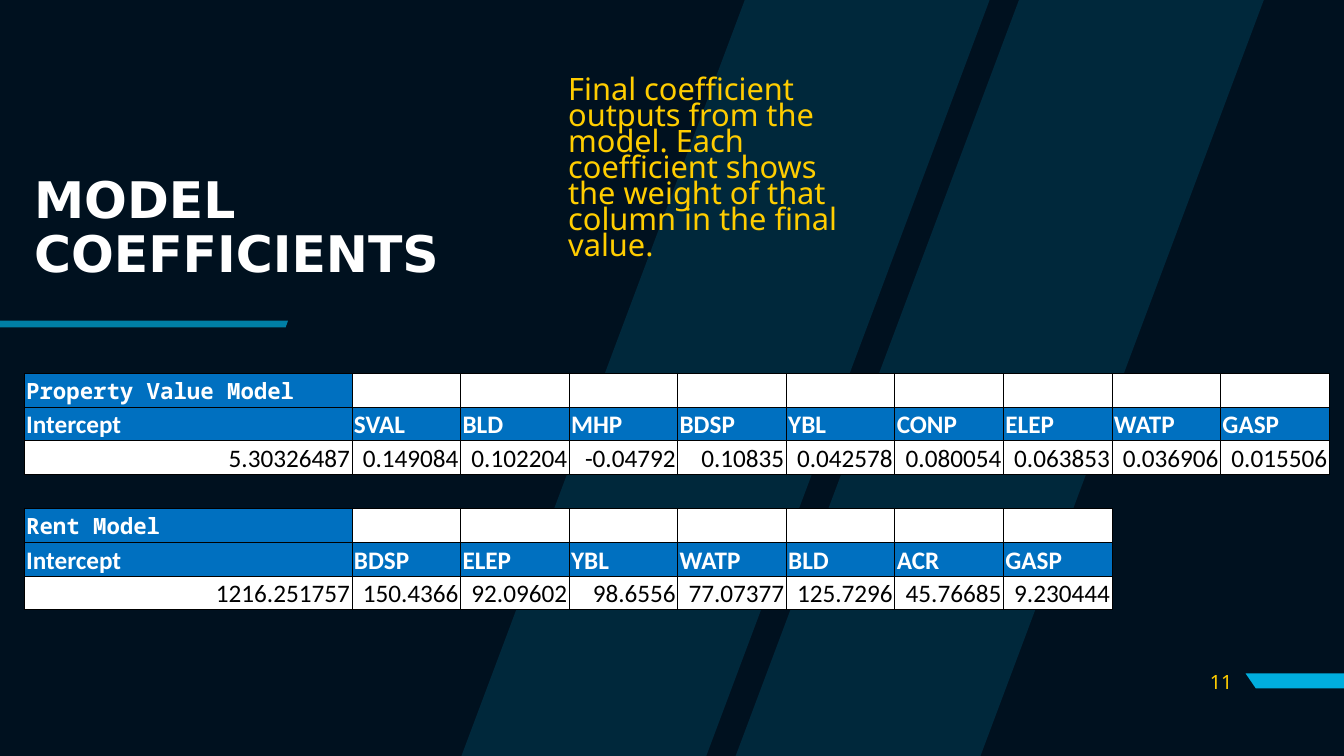
from lxml import etree
from pptx import Presentation
from pptx.dml.color import RGBColor
from pptx.enum.text import MSO_ANCHOR, PP_ALIGN
from pptx.oxml.ns import qn
from pptx.util import Cm, Pt

LEFT, RIGHT = PP_ALIGN.LEFT, PP_ALIGN.RIGHT
TOP, MIDDLE, BOTTOM = MSO_ANCHOR.TOP, MSO_ANCHOR.MIDDLE, MSO_ANCHOR.BOTTOM
NAVY, CYAN, YELLOW, BLUE = "00111F", "00AEDE", "FFCD00", "0070C0"
WHITE, BLACK = "FFFFFF", "000000"
PLAIN_TABLE = "{2D5ABB26-0587-4C30-8999-92F81FD0307C}"
PAGE_WIDTH, PAGE_HEIGHT = 33.87, 19.05

PROPERTY_MODEL = [
    ["Property Value Model"] + [""] * 9,
    ["Intercept", "SVAL", "BLD", "MHP", "BDSP", "YBL", "CONP", "ELEP", "WATP", "GASP"],
    ["5.30326487", "0.149084", "0.102204", "-0.04792", "0.10835", "0.042578",
     "0.080054", "0.063853", "0.036906", "0.015506"],
]
RENT_MODEL = [
    ["Rent Model"] + [""] * 7,
    ["Intercept", "BDSP", "ELEP", "YBL", "WATP", "BLD", "ACR", "GASP"],
    ["1216.251757", "150.4366", "92.09602", "98.6556", "77.07377", "125.7296",
     "45.76685", "9.230444"],
]


def color(value):
    """Turn a hex string into a colour."""
    return RGBColor.from_string(value)


def add_outline(page, contours, opacity=100):
    """Draw closed contours, in centimetres, as one cyan shape."""
    builder = None
    for contour in contours:
        points = [(Cm(x), Cm(y)) for x, y in contour]
        if builder is None:
            builder = page.shapes.build_freeform(*points[0], scale=1.0)
        else:
            builder.move_to(*points[0])
        builder.add_line_segments(points[1:], close=True)
    shape = builder.convert_to_shape()
    shape.shadow.inherit = False
    shape.line.fill.background()
    shape.fill.solid()
    shape.fill.fore_color.rgb = color(CYAN)
    if opacity < 100:
        tint = shape._element.spPr.find(qn("a:solidFill"))[0]
        etree.SubElement(tint, qn("a:alpha")).set("val", str(opacity * 1000))


def add_backdrop(page, left, top, width, height):
    """Draw the two slanted bands across the given box."""
    band, slant = 6.17, 7.14
    bottom = top + height
    add_outline(page, [
        [(start + slant, top), (start, bottom), (start + band, bottom),
         (start + band + slant, top)]
        for start in (left, left + width - band - slant)
    ], opacity=15)


def add_bar(page, left, top, width, height, cut_left=0, cut_right=0, opacity=100):
    """Draw an accent bar whose lower corners are cut inwards."""
    right, bottom = left + width, top + height
    add_outline(page, [[(left, top), (right, top), (right - cut_right, bottom),
                        (left + cut_left, bottom)]], opacity)


def style_text(para, font, size, ink, bold=False, align=LEFT):
    """Format a paragraph and its runs."""
    para.alignment = align
    for span in para.runs:
        span.font.name = font
        span.font.size = Pt(size)
        span.font.bold = bold
        span.font.color.rgb = color(ink)


def add_text(page, left, top, width, height, text, font, size, ink,
             bold=False, align=LEFT, anchor=MIDDLE, spacing=1.0):
    """Place a wrapped text box."""
    box = page.shapes.add_textbox(Cm(left), Cm(top), Cm(width), Cm(height))
    frame = box.text_frame
    frame.word_wrap = True
    frame.vertical_anchor = anchor
    frame.text = text
    para = frame.paragraphs[0]
    para.line_spacing = spacing
    style_text(para, font, size, ink, bold, align)


def add_borders(cell):
    """Rule all four sides of a cell in thin black."""
    properties = cell._tc.get_or_add_tcPr()
    for side in ("a:lnL", "a:lnR", "a:lnT", "a:lnB"):
        line = etree.SubElement(properties, qn(side), w=str(Pt(0.5)))
        fill = etree.SubElement(line, qn("a:solidFill"))
        etree.SubElement(fill, qn("a:srgbClr"), val=BLACK)


def fill_model(table, first_row, model):
    """Write one model's name, headings and values into the table."""
    looks = [
        (MIDDLE, ("Noto Sans Mono", 16, WHITE, True, LEFT)),
        (BOTTOM, ("Calibri", 18, WHITE, True, LEFT)),
        (BOTTOM, ("Calibri", 18, BLACK, False, RIGHT)),
    ]
    for offset, (values, (anchor, look)) in enumerate(zip(model, looks)):
        for column, value in enumerate(values):
            cell = table.cell(first_row + offset, column)
            add_borders(cell)
            cell.fill.solid()
            heading = value and offset < 2
            cell.fill.fore_color.rgb = color(BLUE if heading else WHITE)
            cell.vertical_anchor = anchor
            if value:
                cell.text_frame.text = value
                style_text(cell.text_frame.paragraphs[0], *look)


def add_coefficients(page, left, top, width, height):
    """Place the table holding both models, with an open row between."""
    rows, columns, first_width = 7, 10, 8.26
    frame = page.shapes.add_table(rows, columns, Cm(left), Cm(top), Cm(width), Cm(height))
    table = frame.table
    table.first_row = table.horz_banding = False
    table._tbl.tblPr.find(qn("a:tableStyleId")).text = PLAIN_TABLE
    for index, column in enumerate(table.columns):
        column.width = Cm((width - first_width) / (columns - 1) if index else first_width)
    for row in table.rows:
        row.height = Cm(height / rows)
    for cell in table.iter_cells():
        cell.margin_left = cell.margin_right = cell.margin_top = Cm(0.05)
        cell.margin_bottom = 0
        cell.fill.background()
        cell._tc.get_or_add_tcPr().remove(cell._tc.tcPr.find(qn("a:noFill")))
    fill_model(table, 0, PROPERTY_MODEL)
    fill_model(table, 4, RENT_MODEL)


def build_page(deck):
    """Compose the model coefficients slide."""
    page = deck.slides.add_slide(deck.slide_layouts[6])
    page.background.fill.solid()
    page.background.fill.fore_color.rgb = color(NAVY)
    add_backdrop(page, 11.63, 0, 20.22, PAGE_HEIGHT)
    add_bar(page, 31.39, 16.97, PAGE_WIDTH - 31.39, 0.38, cut_left=0.26)
    add_bar(page, 0, 8.08, 7.26, 0.17, cut_right=0.06, opacity=70)
    add_text(page, 0.61, 3.66, 11.33, 4.24, "MODEL COEFFICIENTS",
             "DejaVu Sans", 36, WHITE, bold=True, spacing=0.9)
    add_text(page, 14.07, 1.9, 7.85, 6, "Final coefficient outputs from the model. "
             "Each coefficient shows the weight of that column in the final value.",
             "Noto Sans", 22, YELLOW, anchor=TOP, spacing=0.7)
    add_text(page, 29.79, 16.66, 1.52, 1.02, "11", "Noto Sans", 14, YELLOW, align=RIGHT)
    add_coefficients(page, 0.61, 9.4, 32.89, 5.97)


def main():
    """Build and save the deck."""
    deck = Presentation()
    deck.slide_width, deck.slide_height = Cm(PAGE_WIDTH), Cm(PAGE_HEIGHT)
    build_page(deck)
    deck.save("out.pptx")


if __name__ == "__main__":
    main()
